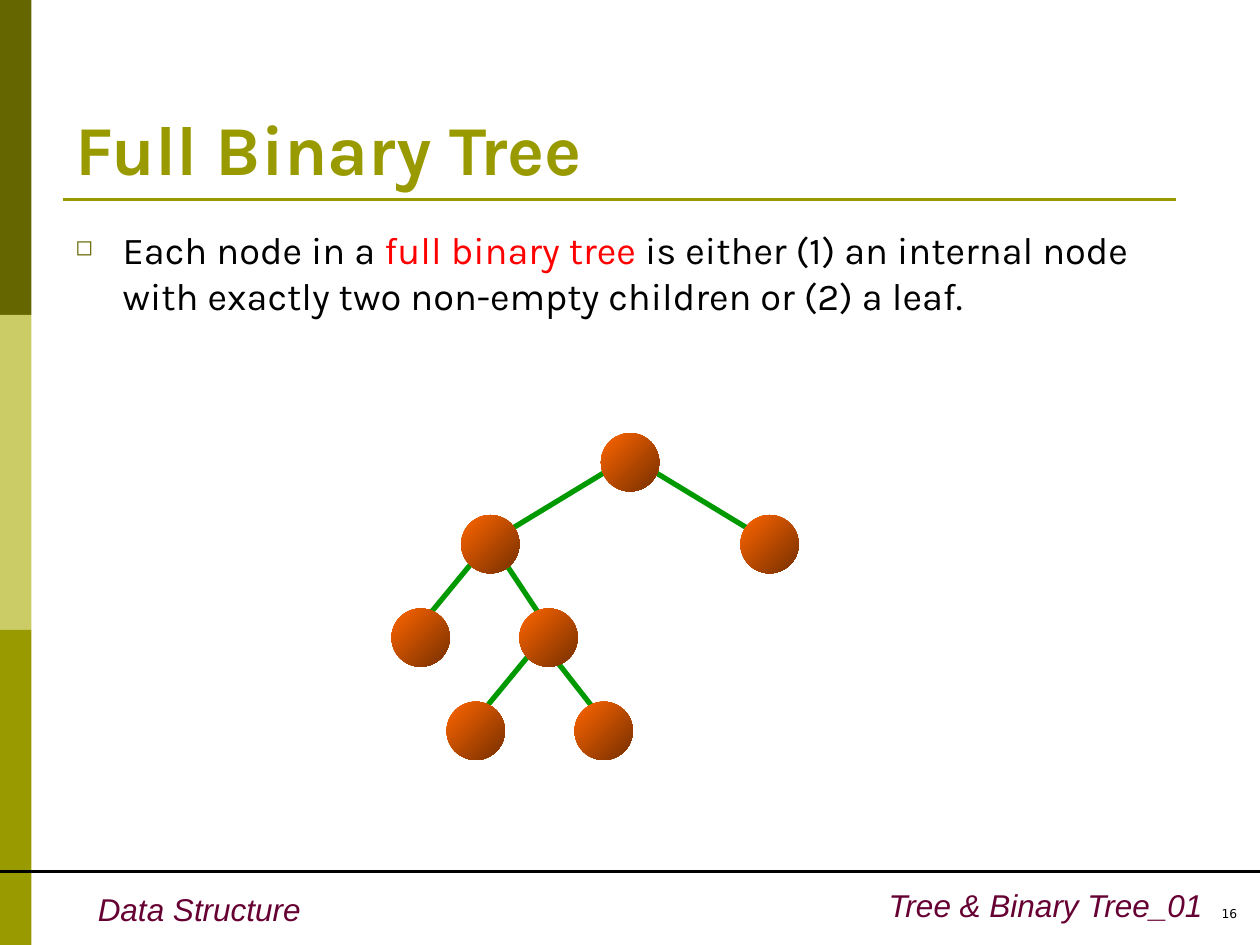
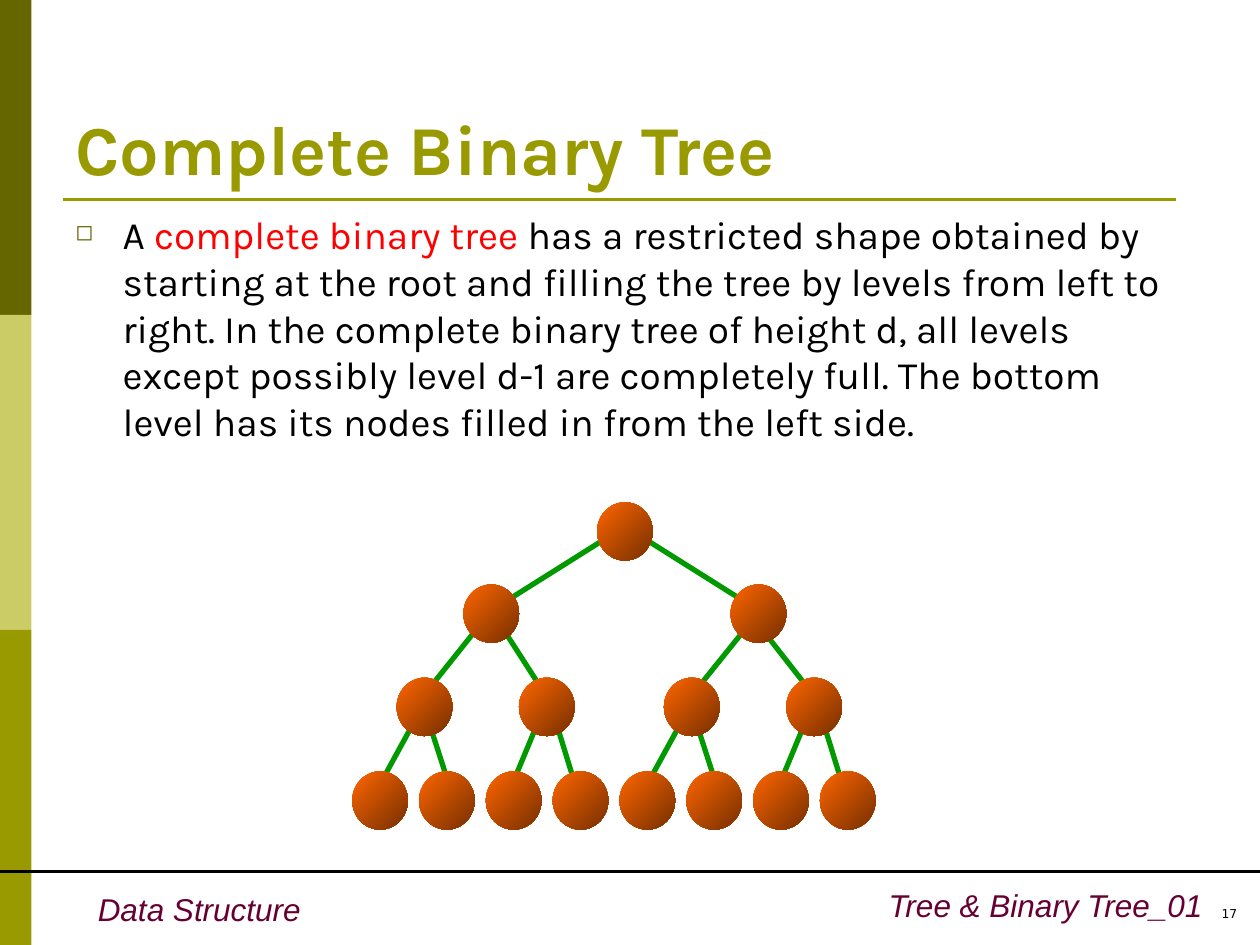
import dataclasses

import pptx
import pptx.dml.color
import pptx.enum.shapes
import pptx.enum.text
import pptx.oxml
import pptx.oxml.ns
import pptx.util
from pptx.util import Pt

ANCHOR = pptx.enum.text.MSO_ANCHOR
ALIGN = pptx.enum.text.PP_ALIGN
SHAPE = pptx.enum.shapes.MSO_SHAPE


@dataclasses.dataclass(frozen=True)
class Theme:
    olive: str = "999900"
    dark_olive: str = "666600"
    light_olive: str = "CCCC66"
    plum: str = "660033"
    black: str = "000000"
    red: str = "FF0000"
    edge: str = "009900"
    node_light: str = "FF6600"
    node_dark: str = "762F00"
    main_font: str = "Karla"
    footer_font: str = "Arial"
    number_font: str = "DejaVu Sans"
    title_size: float = 40
    full_body_size: float = 21.7
    complete_body_size: float = 22.2
    footer_size: float = 18
    number_size: float = 7


def rgb(color):
    return pptx.dml.color.RGBColor.from_string(color)


class Deck:
    def __init__(self, theme):
        self.theme = theme
        self.presentation = pptx.Presentation()
        self.presentation.slide_width = Pt(720)
        self.presentation.slide_height = Pt(540)
        self.slide = None

    # Basic elements
    def shape(self, kind, left, top, width, height):
        shape = self.slide.shapes.add_shape(kind, Pt(left), Pt(top), Pt(width), Pt(height))
        shape.shadow.inherit = False
        shape.line.fill.background()
        return shape

    def band(self, top, color):
        band = self.shape(SHAPE.RECTANGLE, 0, top, 18, 180)
        band.fill.solid()
        band.fill.fore_color.rgb = rgb(color)

    def node(self, left, top, width, height):
        node = self.shape(SHAPE.OVAL, left, top, width, height)
        node.fill.gradient()
        node.fill.gradient_angle = 315
        colors = (self.theme.node_light, self.theme.node_dark)
        for stop, position, color in zip(node.fill.gradient_stops, (0, 1), colors):
            stop.position = position
            stop.color.rgb = rgb(color)

    def line(self, start_x, start_y, end_x, end_y, color, width):
        line = self.slide.shapes.add_connector(
            pptx.enum.shapes.MSO_CONNECTOR.STRAIGHT,
            Pt(start_x), Pt(start_y), Pt(end_x), Pt(end_y))
        line.line.color.rgb = rgb(color)
        line.line.width = Pt(width)
        properties = line._element.spPr
        properties.append(pptx.oxml.parse_xml(
            f'<a:effectLst {pptx.oxml.ns.nsdecls("a")}/>'))

    def text(self, box, runs, font, size, align=ALIGN.LEFT, anchor=ANCHOR.TOP,
             bold=False, italic=False):
        """Add a one-paragraph text box; runs are (text, color) pairs."""
        frame = self.slide.shapes.add_textbox(*map(Pt, box)).text_frame
        frame.word_wrap = True
        frame.vertical_anchor = anchor
        paragraph = frame.paragraphs[0]
        paragraph.alignment = align
        for words, color in runs:
            run = paragraph.add_run()
            run.text = words
            run.font.name = font
            run.font.size = Pt(size)
            run.font.bold = bold
            run.font.italic = italic
            run.font.color.rgb = rgb(color)
        return paragraph

    # Slide parts
    def bullet_text(self, top, height, size, runs):
        paragraph = self.text((36, top, 648, height), runs, self.theme.main_font, size)
        properties = paragraph._p.get_or_add_pPr()
        properties.set("marL", str(Pt(27)))
        properties.set("indent", str(Pt(-27)))
        namespace = pptx.oxml.ns.nsdecls("a")
        for xml in (f'<a:buClr {namespace}><a:srgbClr val="{self.theme.dark_olive}"/></a:buClr>',
                    f'<a:buSzPct {namespace} val="57000"/>',
                    f'<a:buChar {namespace} char="◻"/>'):
            properties.append(pptx.oxml.parse_xml(xml))

    def footer(self, box, words, align=ALIGN.LEFT):
        self.text(box, [(words, self.theme.plum)], self.theme.footer_font,
                  self.theme.footer_size, align=align, italic=True)

    def new_slide(self, title, number):
        theme = self.theme
        self.slide = self.presentation.slides.add_slide(self.presentation.slide_layouts[6])
        for index, color in enumerate((theme.dark_olive, theme.light_olive, theme.olive)):
            self.band(index * 180, color)
        self.line(36, 114, 672, 114, theme.olive, 1.5)
        self.footer((48.8, 505, 150, 29), "Data Structure")
        self.footer((473.3, 502.8, 221, 29), "Tree & Binary Tree_01", ALIGN.RIGHT)
        self.line(0, 498, 720, 498, theme.black, 2.25)
        self.text((36, 21.6, 648, 90), [(title, theme.olive)], theme.main_font,
                  theme.title_size, anchor=ANCHOR.BOTTOM, bold=True)
        paragraph = self.text((672, 516, 42, 18), [(str(number), theme.black)],
                              theme.number_font, theme.number_size, align=ALIGN.RIGHT)
        paragraph.line_spacing = 0.8

    def tree(self, edges, levels, node_width, node_height):
        """Draw the edges, then each level given as (top, left positions)."""
        for edge in edges:
            self.line(*edge, self.theme.edge, 3)
        for top, lefts in levels:
            for left in lefts:
                self.node(left, top, node_width, node_height)


def full_tree_slide(deck):
    theme = deck.theme
    deck.new_slide("Full Binary Tree", 16)
    deck.bullet_text(126, 81, theme.full_body_size, [
        ("Each node in a ", theme.black),
        ("full binary tree ", theme.red),
        ("is either (1) an internal node with exactly two non-empty children "
         "or (2) a leaf.", theme.black)])
    edges = [
        (350, 267.2, 283.6, 307.5), (370, 267.2, 436.4, 307.5),
        (270, 321.2, 236.9, 361.4), (283.6, 314, 310.3, 354.2),
        (308.2, 367.2, 275, 407.5), (315.4, 374.4, 341.3, 407.5)]
    levels = [(247.5, [343.4]), (294.3, [263.5, 423.1]),
              (347.7, [223.7, 296.8]), (401, [255.2, 328.3])]
    deck.tree(edges, levels, 33.3, 33.3)


def complete_tree_slide(deck):
    theme = deck.theme
    deck.new_slide("Complete Binary Tree", 17)
    deck.bullet_text(117, 147.6, theme.complete_body_size, [
        ("A ", theme.black),
        ("complete binary tree ", theme.red),
        ("has a restricted shape obtained by starting at the root and filling the tree "
         "by levels from left to right. In the complete binary tree of height d, all "
         "levels except possibly level d-1 are completely full. The bottom level has "
         "its nodes filled in from the left side.", theme.black)])
    leaf_step = 38.18
    half_step = 4 * leaf_step
    upper_edges = [
        (347.8, 306.7, 283.7, 347), (366.5, 306.7, 430.6, 347),
        (271.4, 360.7, 239.8, 400.3), (283.7, 353.5, 309.6, 393.8),
        (430.6, 353.5, 398.2, 393.8), (436.3, 360.7, 462.2, 393.8)]
    leaf_edges = [
        (239.4, 407.5, 213.8, 454.3), (245.5, 414, 258.5, 454.3),
        (309.6, 407.5, 290.2, 454.3), (316.1, 407.5, 328.3, 447.1)]
    shifted_edges = [(x1 + half_step, y1, x2 + half_step, y2)
                     for x1, y1, x2, y2 in leaf_edges]
    levels = [
        (287, [341.2]),
        (334, [264.8, 264.8 + half_step]),
        (387.3, [left + shift for shift in (0, half_step) for left in (226.7, 296.6)]),
        (440.8, [201.3 + index * leaf_step for index in range(8)])]
    deck.tree(upper_edges + leaf_edges + shifted_edges, levels, 31.8, 33.3)


def main():
    deck = Deck(Theme())
    full_tree_slide(deck)
    complete_tree_slide(deck)
    deck.presentation.save("out.pptx")


if __name__ == "__main__":
    main()
